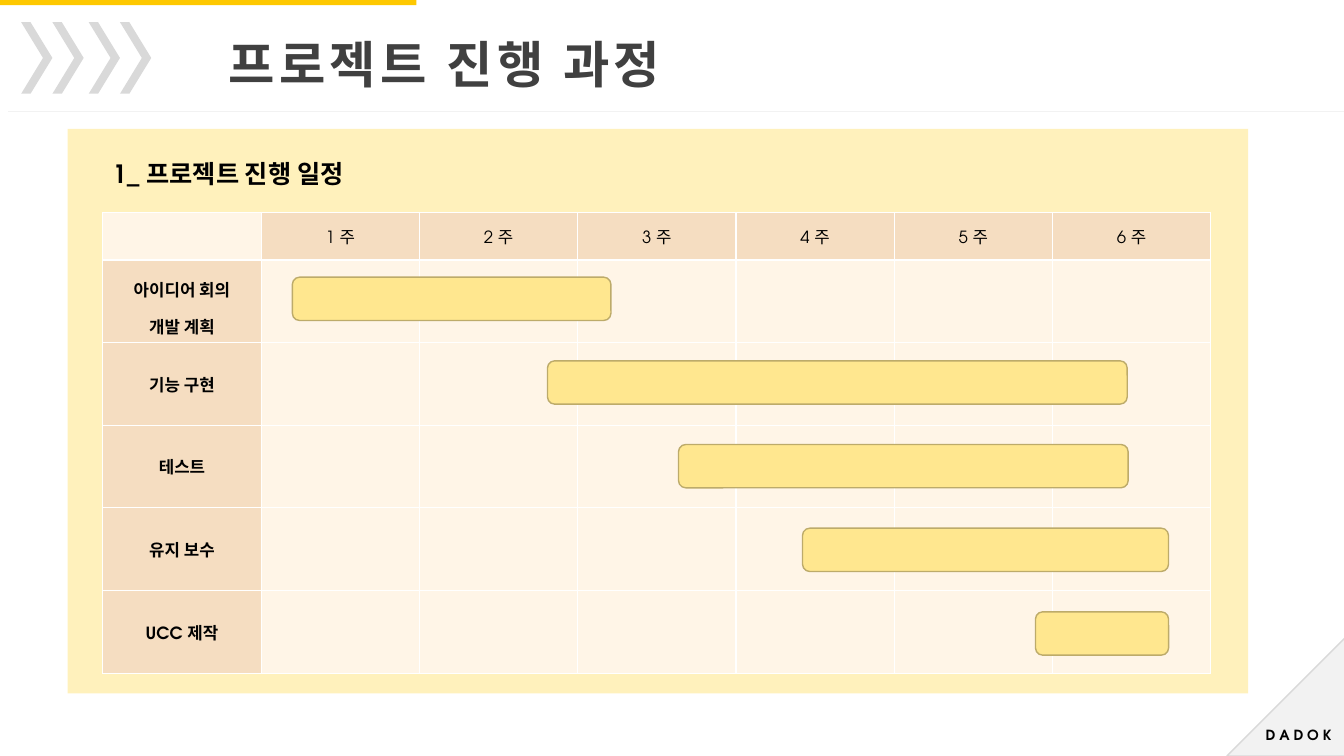
from lxml.etree import SubElement
from pptx import Presentation
from pptx.dml.color import RGBColor
from pptx.enum.shapes import MSO_CONNECTOR, MSO_SHAPE as SHAPE
from pptx.enum.text import MSO_ANCHOR, MSO_AUTO_SIZE, PP_ALIGN as ALIGN
from pptx.oxml.ns import qn
from pptx.util import Pt

PX = 9144
FONT = "TeX Gyre Adventor"
WEEKS = 6
TASKS = [
    ("아이디어 회의\n개발 계획", 290, 316),
    ("기능 구현", 543, 575),
    ("테스트", 673, 446),
    ("유지 보수", 796, 363),
    ("UCC 제작", 1027, 132),
]


def px(*values):
    return [v * PX for v in values]


def rgb(color):
    return RGBColor.from_string(color)


def add_box(slide, kind, box, fill, line=None):
    sp = slide.shapes.add_shape(kind, *px(*box))
    sp.shadow.inherit = False
    sp.fill.solid()
    sp.fill.fore_color.rgb = rgb(fill)
    if line:
        sp.line.color.rgb = rgb(line)
        sp.line.width = Pt(1)
    else:
        sp.line.fill.background()
    return sp


def style_text(tf, size, color="000000", bold=False, align=None, spacing=None):
    for p in tf.paragraphs:
        p.alignment = align
        p.line_spacing = spacing
        for r in p.runs:
            r.font.name = FONT
            r.font.size = Pt(size)
            r.font.bold = bold
            r.font.color.rgb = rgb(color)


def add_text(slide, box, text, size, wrap=True, **style):
    tf = slide.shapes.add_textbox(*px(*box)).text_frame
    tf.word_wrap = wrap
    tf.auto_size = MSO_AUTO_SIZE.SHAPE_TO_FIT_TEXT
    tf.text = text
    style_text(tf, size, bold=True, **style)
    return tf


def add_rule(slide, x1, y, x2, color):
    line = slide.shapes.add_connector(MSO_CONNECTOR.STRAIGHT, *px(x1, y, x2, y))
    line.line.color.rgb = rgb(color)
    line.line.width = Pt(0.5)
    SubElement(line._element.spPr, qn("a:effectLst"))


def set_borders(cell, color):
    tcPr = cell._tc.get_or_add_tcPr()
    for i, side in enumerate(("lnL", "lnR", "lnT", "lnB")):
        ln = tcPr.makeelement(qn("a:" + side), {"w": str(Pt(1))})
        fill = SubElement(ln, qn("a:solidFill"))
        SubElement(fill, qn("a:srgbClr"), val=color)
        tcPr.insert(i, ln)


def set_cell(cell, text, fill, bold, spacing):
    cell.fill.solid()
    cell.fill.fore_color.rgb = rgb(fill)
    set_borders(cell, "FFFFFF")
    if text:
        cell.vertical_anchor = MSO_ANCHOR.MIDDLE
        cell.text_frame.text = text
        style_text(cell.text_frame, 12, bold=bold, align=ALIGN.CENTER, spacing=spacing)


def add_schedule(slide):
    table = slide.shapes.add_table(
        len(TASKS) + 1, WEEKS + 1, *px(102, 211, 1099, 457)).table
    table.first_row = table.horz_banding = False
    for col in table.columns:
        col.width = 157 * PX
    for i, row in enumerate(table.rows):
        row.height = (82 if i else 47) * PX
        for j, cell in enumerate(row.cells):
            text = ""
            if i and not j:
                text = TASKS[i - 1][0]
            elif j and not i:
                text = f"{j} 주"
            set_cell(cell, text, "F5DDC1" if text else "FFF5E7",
                     bold=i > 0, spacing=1.5 if "\n" in text else None)
    for i, (_, left, width) in enumerate(TASKS):
        add_box(slide, SHAPE.ROUNDED_RECTANGLE, (left, 275 + 83 * i, width, 43),
                "FFE78F", "BDAB6A")


def add_header(slide):
    add_box(slide, SHAPE.RECTANGLE, (0, 0, 413, 5), "FEC800")
    title = add_text(slide, (162, 28, 503, 71), "프로젝트 진행 과정", 36,
                     color="404040", align=ALIGN.RIGHT)
    title.paragraphs[0].runs[0].font._element.set("spc", "300")
    add_rule(slide, 8, 110, 1333, "F2F2F2")
    for left in (21, 52, 88, 119):
        chevron = add_box(slide, SHAPE.CHEVRON, (left, 22, 31, 71), "D9D9D9")
        chevron.adjustments[0] = 0.7


def main():
    prs = Presentation()
    prs.slide_width, prs.slide_height = px(1333, 750)
    slide = prs.slides.add_slide(prs.slide_layouts[6])
    corner = add_box(slide, SHAPE.RIGHT_TRIANGLE, (1217, 633, 117, 117),
                     "F2F2F2", "D9D9D9")
    corner._element.spPr.xfrm.set("flipH", "1")
    add_box(slide, SHAPE.RECTANGLE, (67, 128, 1171, 560), "FFF1BC")
    add_header(slide)
    add_schedule(slide)
    add_text(slide, (102, 137, 503, 56), "1_ 프로젝트 진행 일정", 18, spacing=1.5)
    add_text(slide, (1245, 716, 86, 27), "D A D O K", 10, wrap=False,
             align=ALIGN.CENTER)
    prs.save("out.pptx")


if __name__ == "__main__":
    main()
